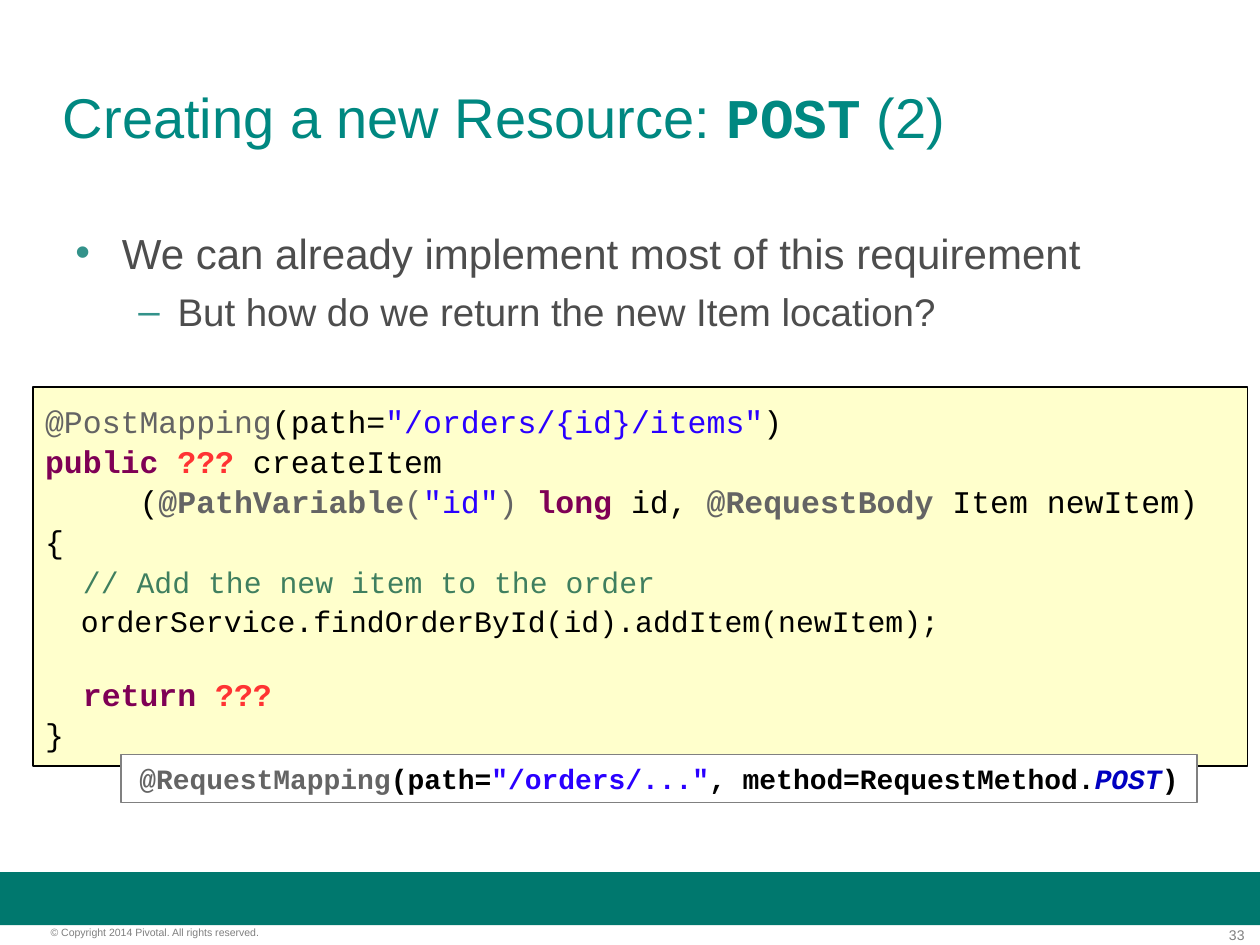
from lxml import etree
from pptx import Presentation
from pptx.dml.color import RGBColor
from pptx.enum.shapes import MSO_SHAPE
from pptx.enum.text import MSO_ANCHOR, PP_ALIGN
from pptx.oxml.ns import qn
from pptx.util import Cm, Pt

RECTANGLE = MSO_SHAPE.RECTANGLE
TOP, MIDDLE = MSO_ANCHOR.TOP, MSO_ANCHOR.MIDDLE
LEFT, CENTER, RIGHT = PP_ALIGN.LEFT, PP_ALIGN.CENTER, PP_ALIGN.RIGHT

WHITE = RGBColor(0xFF, 0xFF, 0xFF)
BLACK = RGBColor(0x00, 0x00, 0x00)
BAND = RGBColor(0x00, 0x78, 0x6E)
TITLE = RGBColor(0x00, 0x88, 0x81)
BULLET = RGBColor(0x33, 0x92, 0x8A)
BODY = RGBColor(0x4D, 0x4D, 0x4D)
FOOTER = RGBColor(0x7F, 0x7F, 0x7F)
BORDER = RGBColor(0x80, 0x80, 0x80)
CODE_FILL = RGBColor(0xFF, 0xFF, 0xCC)
ANNOTATION = RGBColor(0x64, 0x64, 0x64)
STRING = RGBColor(0x2A, 0x00, 0xFF)
KEYWORD = RGBColor(0x7F, 0x00, 0x55)
UNKNOWN = RGBColor(0xFF, 0x33, 0x33)
COMMENT = RGBColor(0x3F, 0x7F, 0x5F)
CONSTANT = RGBColor(0x00, 0x00, 0xC0)

SANS, MONO = "Arial", "Courier New"
PADDING = (Cm(0.25), Cm(0.13))

# Each token is its text followed by the formats that differ from the line's.
ANNOTATED = {"color": ANNOTATION}
QUOTED = {"color": STRING}
RESERVED = {"color": KEYWORD, "bold": True}
OPEN = {"color": UNKNOWN, "bold": True}
CODE = [
    ([("@PostMapping", ANNOTATED), ("(path=", {}),
      ('"/orders/{id}/items"', QUOTED), (")", {})], {}),
    ([("public ", RESERVED), ("???", OPEN), (" createItem", {})], {}),
    ([("     (", {}), ("@PathVariable", {**ANNOTATED, "bold": True}),
      ("(", ANNOTATED), ('"id"', QUOTED), (") ", ANNOTATED),
      ("long", RESERVED), (" id, ", {}),
      ("@RequestBody ", {**ANNOTATED, "bold": True}),
      ("Item newItem)", {})], {}),
    ([("{", {})], {}),
    ([("  ", {}),
      ("// Add the new item to the order", {"color": COMMENT, "size": 17})], {}),
    ([("  orderService.findOrderById(id).addItem(newItem);", {})], {"size": 17}),
    ([("  ", {}), ("return ", RESERVED), ("???", OPEN)], {"space_before": 20}),
    ([("}", {})], {}),
]
OLD_STYLE_MAPPING = [
    ("@RequestMapping", ANNOTATED), ("(path=", {}), ('"/orders/..."', QUOTED),
    (", method=RequestMethod.", {}),
    ("POST", {"color": CONSTANT, "italic": True}), (")", {}),
]


def add_run(p, text, size, font, color, bold=False, italic=False):
    r = p.add_run()
    r.text = text
    r.font.size = Pt(size)
    r.font.name = font
    r.font.color.rgb = color
    r.font.bold = bold
    r.font.italic = italic


def add_text(tf, text, align=LEFT, space_before=0, line_spacing=1.0,
             bullet=None, indent=None, **font):
    """Fill the next paragraph from a string or a list of (text, format)."""
    p = tf.paragraphs[0] if not tf.paragraphs[0].runs else tf.add_paragraph()
    p.alignment = align
    p.space_before = Pt(space_before)
    p.line_spacing = line_spacing
    if bullet:
        set_bullet(p, bullet, *indent)
    runs = [(text, {})] if isinstance(text, str) else text
    for words, changes in runs:
        add_run(p, words, **{**font, **changes})


def set_bullet(p, char, margin, hanging):
    props = p._p.get_or_add_pPr()
    props.set("marL", str(margin))
    props.set("indent", str(-hanging))
    color = etree.SubElement(props, qn("a:buClr"))
    etree.SubElement(color, qn("a:srgbClr"), val=str(BULLET))
    etree.SubElement(props, qn("a:buFont"), typeface=SANS)
    etree.SubElement(props, qn("a:buChar"), char=char)


def set_frame(tf, padding=(0, 0), anchor=TOP, wrap=True):
    tf.margin_left = tf.margin_right = padding[0]
    tf.margin_top = tf.margin_bottom = padding[1]
    tf.vertical_anchor = anchor
    tf.word_wrap = wrap
    return tf


def add_text_box(s, left, top, width, height, **frame):
    box = s.shapes.add_textbox(Cm(left), Cm(top), Cm(width), Cm(height))
    return set_frame(box.text_frame, **frame)


def add_panel(s, left, top, width, height, fill, line=None, line_width=0, **frame):
    sp = s.shapes.add_shape(RECTANGLE, Cm(left), Cm(top), Cm(width), Cm(height))
    sp.shadow.inherit = False
    sp.fill.solid()
    sp.fill.fore_color.rgb = fill
    if line is None:
        sp.line.fill.background()
    else:
        sp.line.color.rgb = line
        sp.line.width = Pt(line_width)
    return set_frame(sp.text_frame, padding=PADDING, anchor=MIDDLE, **frame)


def add_footer(s):
    add_panel(s, 0, 17.58, 25.4, 1.07, BAND)
    add_text(add_text_box(s, 23.62, 18.67, 1.47, 0.33), "33",
             align=RIGHT, size=8, font=SANS, color=FOOTER)
    add_text(add_text_box(s, 1.02, 18.67, 6.32, 0.25),
             "© Copyright 2014 Pivotal. All rights reserved.",
             size=6, font=SANS, color=FOOTER)


def add_title(s):
    tf = add_text_box(s, 1.27, 0.76, 22.86, 3.18, anchor=MIDDLE)
    add_text(tf, [("Creating a new Resource: ", {}),
                  ("POST", {"font": MONO, "bold": True}), (" (2)", {})],
             size=32, font=SANS, color=TITLE)


def add_code(s):
    tf = add_panel(s, 0.66, 7.8, 24.49, 7.65, CODE_FILL, BLACK, 1)
    for tokens, changes in CODE:
        style = {"size": 18, "font": MONO, "color": BLACK, "line_spacing": 1.06}
        add_text(tf, tokens, **{**style, **changes})


def add_callout(s):
    tf = add_panel(s, 2.44, 15.21, 21.69, 0.97, WHITE, BORDER, wrap=False)
    add_text(tf, OLD_STYLE_MAPPING, align=CENTER, size=16, font=MONO,
             color=BLACK, bold=True)


def add_body(s):
    tf = add_text_box(s, 1.27, 4.45, 22.86, 11.3, padding=PADDING)
    add_text(tf, "We can already implement most of this requirement",
             bullet="•", indent=(Cm(0.94), Cm(0.94)),
             size=24, font=SANS, color=BODY)
    add_text(tf, "But how do we return the new Item location?",
             bullet="–", indent=(Cm(2.06), Cm(0.79)), space_before=6,
             size=22, font=SANS, color=BODY)
    tf.paragraphs[1].level = 1


def main():
    prs = Presentation()
    prs.slide_width, prs.slide_height = Cm(25.4), Cm(19.05)
    s = prs.slides.add_slide(prs.slide_layouts[6])
    add_footer(s)
    add_title(s)
    add_code(s)
    add_callout(s)
    add_body(s)
    prs.save("out.pptx")


if __name__ == "__main__":
    main()
